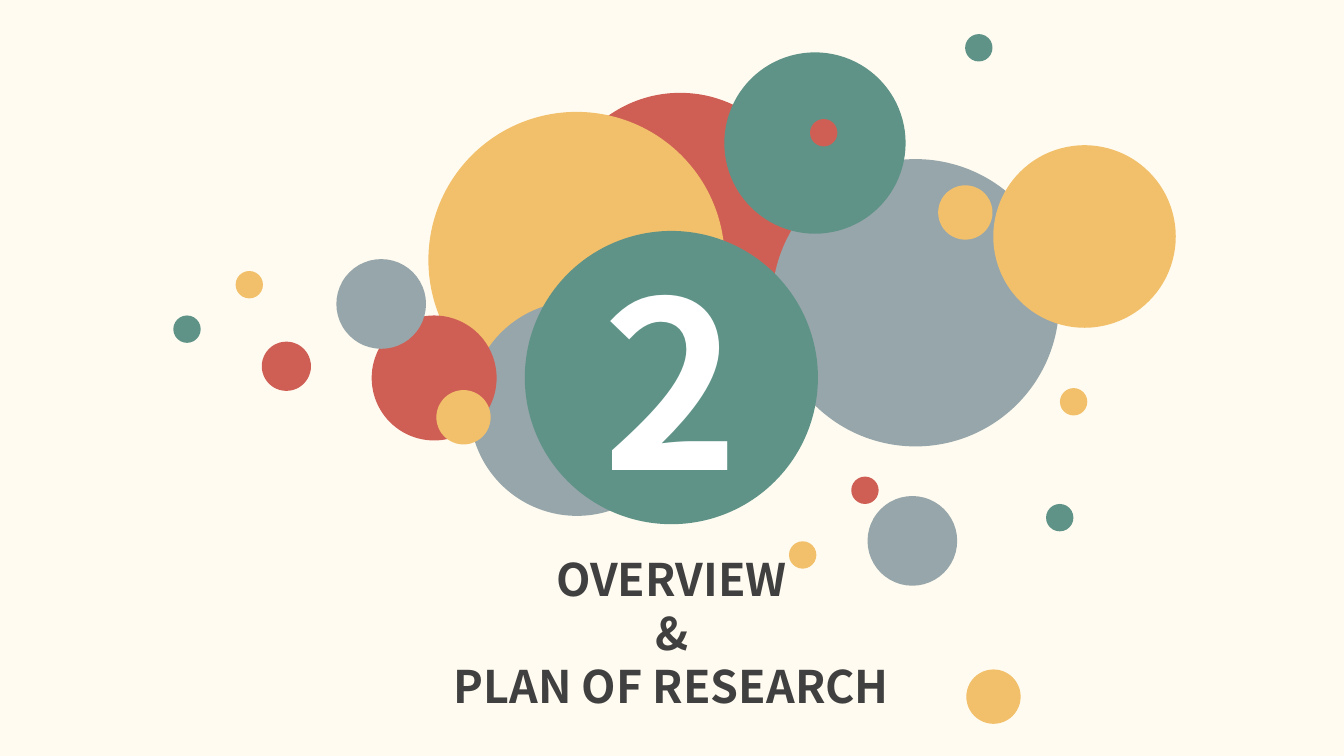
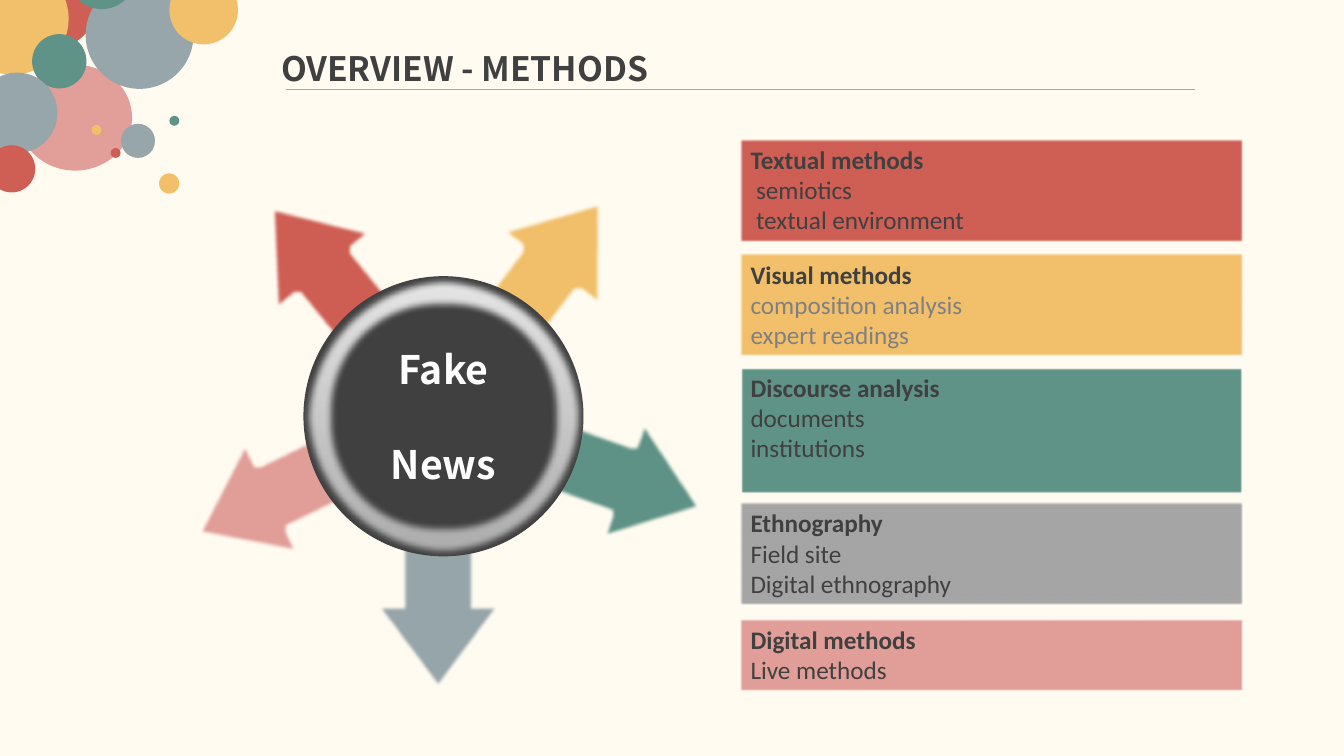
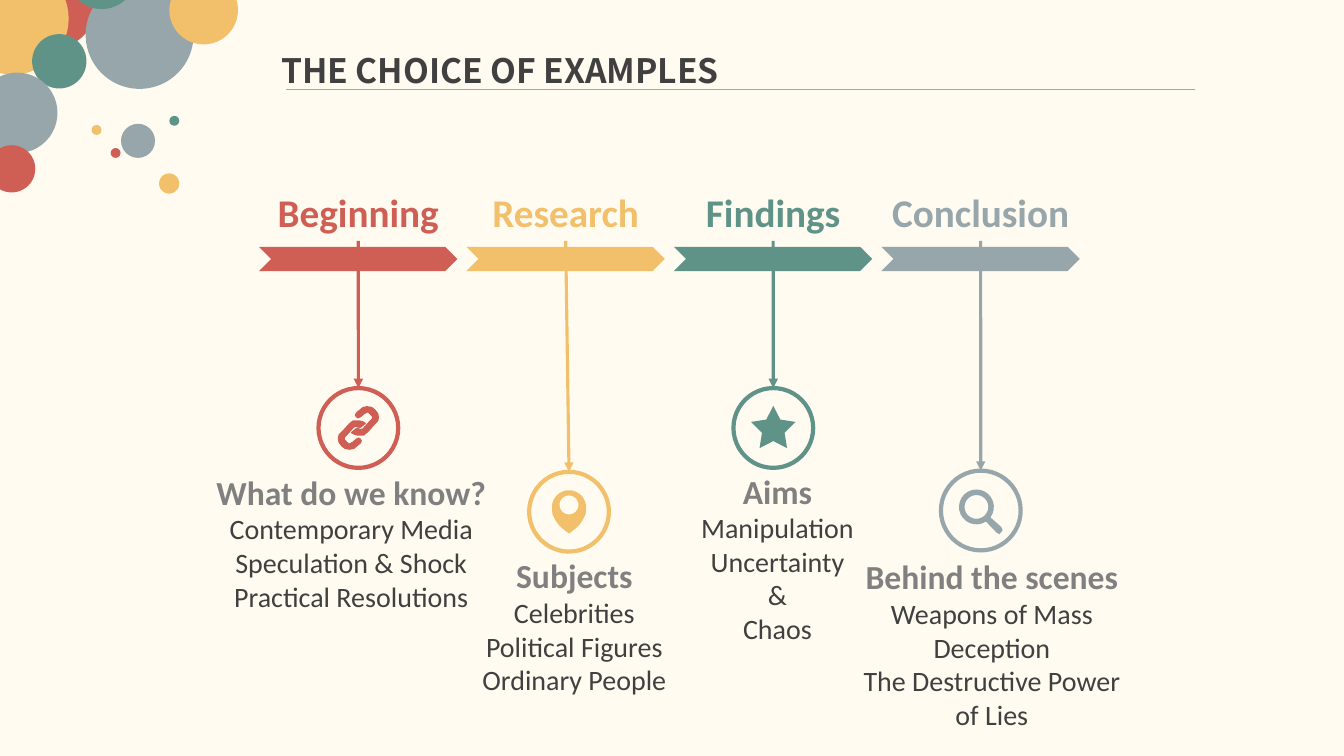
import math

import pptx
import pptx.dml.color
import pptx.enum.shapes
import pptx.enum.text
import pptx.oxml
import pptx.oxml.ns
import pptx.util

Cm, Pt = pptx.util.Cm, pptx.util.Pt
RGB = pptx.dml.color.RGBColor
SHAPE = pptx.enum.shapes.MSO_SHAPE
ALIGN = pptx.enum.text.PP_ALIGN
ANCHOR = pptx.enum.text.MSO_ANCHOR

# Shared look
CREAM = RGB(0xFF, 0xFB, 0xF0)
RED = RGB(0xCF, 0x5F, 0x55)
YELLOW = RGB(0xF2, 0xC0, 0x6B)
GREEN = RGB(0x5F, 0x93, 0x87)
SLATE = RGB(0x97, 0xA6, 0xAB)
PINK = RGB(0xE2, 0x9F, 0x99)
GREY = RGB(0xA5, 0xA5, 0xA5)
RULE_GREY = RGB(0xA6, 0xA6, 0xA6)
MID_GREY = RGB(0x80, 0x80, 0x80)
DARK = RGB(0x40, 0x40, 0x40)
WHITE = RGB(0xFF, 0xFF, 0xFF)
RING_DARK = RGB(0xAB, 0xAB, 0xAB)
RING_LIGHT = RGB(0xE6, 0xE6, 0xE6)
HEAD_FONT = "Noto Sans CJK SC"
BODY_FONT = "Calibri"

# Bubbles: left, top, diameter in cm, colour
CORNER_BUBBLES = [
    (0.1, -1.12, 2.36, RED), (-1.09, -0.94, 2.82, YELLOW),
    (0.81, 0.86, 1.37, GREEN), (-0.58, 1.83, 2.03, SLATE),
    (2.16, -0.48, 2.72, SLATE), (1.7, -1.5, 1.73, GREEN),
    (-0.3, 3.66, 1.19, RED), (3.05, 3.12, 0.86, SLATE),
    (2.79, 3.73, 0.25, RED), (2.31, 3.15, 0.25, YELLOW),
    (4.27, 2.92, 0.25, GREEN), (4.01, 4.37, 0.51, YELLOW),
    (4.27, -0.61, 1.73, YELLOW),
]
COVER_BUBBLES = [
    (14.02, 2.34, 6.25, RED), (10.8, 2.82, 7.47, YELLOW),
    (11.84, 7.59, 5.41, SLATE), (19.46, 4.01, 7.24, SLATE),
    (18.26, 1.32, 4.57, GREEN), (9.37, 7.95, 3.15, RED),
    (21.87, 12.5, 2.26, SLATE), (21.46, 12.01, 0.69, RED),
    (19.89, 13.64, 0.69, YELLOW), (26.37, 12.7, 0.69, GREEN),
    (24.36, 16.87, 1.37, YELLOW), (25.04, 3.66, 4.6, YELLOW),
    (8.48, 6.53, 2.26, SLATE), (6.6, 8.61, 1.24, RED),
    (5.94, 6.83, 0.69, YELLOW), (4.37, 7.95, 0.69, GREEN),
    (11, 9.83, 1.37, YELLOW), (20.42, 3, 0.69, RED),
    (26.72, 9.78, 0.69, YELLOW), (24.33, 0.86, 0.69, GREEN),
    (23.65, 4.67, 1.37, YELLOW),
]

# Section cover
SECTION_NUMBER = "2"
SECTION_TITLE = ["OVERVIEW", "&", "PLAN OF RESEARCH"]

# Methods: cards (top, height, fill, list colour, list indent, lines)
METHODS_TITLE = "OVERVIEW - METHODS"
HUB_LINES = ["Fake", "News"]
METHOD_CARDS = [
    (3.51, 2.57, RED, DARK, 0.14,
     ["Textual methods", "semiotics", "textual environment"]),
    (6.4, 2.57, YELLOW, MID_GREY, 0,
     ["Visual methods", "composition analysis", "expert readings"]),
    (9.25, 3.18, GREEN, DARK, 0,
     ["Discourse analysis", "documents", "institutions"]),
    (12.67, 2.57, GREY, DARK, 0,
     ["Ethnography", "Field site", "Digital ethnography"]),
    (15.6, 1.8, PINK, DARK, 0, ["Digital methods", "Live methods"]),
]
# Arrows: left, top, rotation, colour
METHOD_ARROWS = [
    (9.45, 12.12, 180, SLATE), (13.61, 9.27, 109.6, GREEN),
    (5.74, 9.65, 244.1, PINK), (6.91, 4.62, 320.7, RED),
    (11.94, 4.55, 37.1, YELLOW),
]

# Examples: stage, colour, circle (left, top), text (left, top, width), lines
EXAMPLES_TITLE = "THE CHOICE OF EXAMPLES"
STAGES = [
    ("Beginning", RED, (8.03, 9.78), (5.03, 11.76, 7.65),
     ["What do we know?",
      "Contemporary Media Speculation & Shock Practical Resolutions"]),
    ("Research", YELLOW, (13.34, 11.89), (11.76, 13.87, 5.44),
     ["Subjects", "Celebrities Political Figures", "Ordinary People"]),
    ("Findings", GREEN, (18.49, 9.78), (17.2, 11.73, 4.8),
     ["Aims", "Manipulation", "Uncertainty", "&", "Chaos"]),
    ("Conclusion", SLATE, (23.72, 11.86), (21.46, 13.89, 7.09),
     ["Behind the scenes", "Weapons of Mass Deception",
      "The Destructive Power of Lies"]),
]


# Icon outlines, in cm from the centre of their circle
def arc(x, y, radius, start=0, end=360, steps=24):
    angles = [math.radians(start + (end - start) * i / steps)
              for i in range(steps + 1)]
    return [(x + radius * math.cos(a), y + radius * math.sin(a))
            for a in angles]


LINK = [
    (-0.04, -0.19), (0.04, -0.19), (0.11, -0.17), (0.17, -0.14),
    (0.19, -0.11), (0.04, 0.01), (-0.01, -0.01), (-0.04, -0.03),
    (-0.11, -0.01), (-0.29, 0.19), (-0.34, 0.24), (-0.34, 0.29),
    (-0.29, 0.34), (-0.24, 0.39), (-0.19, 0.37), (-0.14, 0.34),
    (-0.06, 0.27), (0.01, 0.24), (0.06, 0.27), (0.09, 0.32),
    (0.06, 0.39), (-0.04, 0.47), (-0.11, 0.53), (-0.22, 0.55),
    (-0.34, 0.53), (-0.42, 0.47), (-0.5, 0.37), (-0.52, 0.27),
    (-0.5, 0.17), (-0.42, 0.09), (-0.24, -0.11), (-0.14, -0.19),
]
PIN_SIDE = [(0.42, 0.06), (0.34, 0.22), (0.27, 0.32), (0.17, 0.42)]
HANDLE = [(0.24, 0.17), (0.52, 0.42), (0.55, 0.5), (0.47, 0.6),
          (0.39, 0.55), (0.14, 0.29)]
STAR = [arc(0, 0.03, 0.3 if i % 2 else 0.59, 36 * i - 90, 360, 1)[0]
        for i in range(10)]
ICONS = [
    [LINK, [(-x, -y) for x, y in LINK]],
    [arc(0, -0.11, 0.43, 180, 360) + PIN_SIDE + [(0, 0.55)]
     + [(-x, y) for x, y in reversed(PIN_SIDE)], arc(0, -0.17, 0.24)],
    [STAR],
    [arc(-0.11, -0.09, 0.44, 57, 397) + HANDLE, arc(-0.11, -0.09, 0.3)],
]


# Drawing helpers
def paint(shape, fill, soft=0):
    """Flat fill, no line, no shadow; soft is the soft edge in points."""
    shape.shadow.inherit = False
    shape.line.fill.background()
    if fill is None:
        shape.fill.background()
    else:
        shape.fill.solid()
        shape.fill.fore_color.rgb = fill
    if soft:
        effects = shape._element.spPr.find(pptx.oxml.ns.qn("a:effectLst"))
        effects.append(pptx.oxml.parse_xml(
            f'<a:softEdge {pptx.oxml.ns.nsdecls("a")} rad="{Pt(soft)}"/>'))
    return shape


def add_shape(shapes, kind, left, top, width, height, fill, soft=0):
    return paint(shapes.add_shape(kind, Cm(left), Cm(top), Cm(width),
                                  Cm(height)), fill, soft)


def add_bubbles(shapes, bubbles):
    for left, top, size, colour in bubbles:
        add_shape(shapes, SHAPE.OVAL, left, top, size, size, colour)


def style(paragraph, size, colour, bold=True, font=BODY_FONT,
          align=ALIGN.CENTER, pitch=None):
    paragraph.alignment = align
    if pitch:
        paragraph.line_spacing = Pt(pitch)
    for run in paragraph.runs:
        run.font.size, run.font.bold, run.font.name = Pt(size), bold, font
        run.font.color.rgb = colour


def write(frame, lines, anchor=ANCHOR.TOP):
    frame.word_wrap = True
    frame.auto_size = pptx.enum.text.MSO_AUTO_SIZE.NONE
    frame.vertical_anchor = anchor
    frame.text = "\n".join(lines)
    return frame.paragraphs


def add_text(slide, left, top, width, height, lines):
    box = slide.shapes.add_textbox(Cm(left), Cm(top), Cm(width), Cm(height))
    return box, write(box.text_frame, lines)


def set_title(slide, left, top, width, height, lines, size, align):
    title = slide.shapes.title
    title.left, title.top = Cm(left), Cm(top)
    title.width, title.height = Cm(width), Cm(height)
    for paragraph in write(title.text_frame, lines):
        style(paragraph, size, DARK, font=HEAD_FONT, align=align,
              pitch=1.2 * size)


def add_line(slide, start, end, colour, width):
    line = slide.shapes.add_connector(
        pptx.enum.shapes.MSO_CONNECTOR.STRAIGHT,
        Cm(start[0]), Cm(start[1]), Cm(end[0]), Cm(end[1]))
    line.line.color.rgb = colour
    line.line.width = Pt(width)
    line._element.spPr.append(pptx.oxml.parse_xml(
        f'<a:effectLst {pptx.oxml.ns.nsdecls("a")}/>'))
    return line


def add_icon(slide, contours, x, y, colour):
    outline = None
    for contour in contours:
        points = [(Cm(px), Cm(py)) for px, py in contour]
        if outline is None:
            outline = slide.shapes.build_freeform(*points[0], scale=1.0)
        else:
            outline.move_to(*points[0])
        outline.add_line_segments(points[1:], close=True)
    paint(outline.convert_to_shape(Cm(x), Cm(y)), colour)


def new_slide(prs):
    return prs.slides.add_slide(prs.slide_layouts[5])


def content_slide(prs, title, top):
    slide = new_slide(prs)
    set_title(slide, 6.83, top, 13.03, 1.27, [title], 24, ALIGN.LEFT)
    add_line(slide, (7.21, 2.24), (30.12, 2.24), RULE_GREY, 0.5)
    return slide


def add_corner(slide):
    add_bubbles(slide.shapes.add_group_shape().shapes, CORNER_BUBBLES)


# Slides
def build_cover(prs):
    slide = new_slide(prs)
    set_title(slide, 9.27, 13.77, 15.32, 4.37, SECTION_TITLE, 32,
              ALIGN.CENTER)
    add_bubbles(slide.shapes, COVER_BUBBLES)
    badge = add_shape(slide.shapes, SHAPE.OVAL, 13.23, 5.82, 7.39, 7.39,
                      GREEN)
    number = write(badge.text_frame, [SECTION_NUMBER], ANCHOR.MIDDLE)[0]
    style(number, 166, WHITE, font=HEAD_FONT)


def build_methods(prs):
    slide = content_slide(prs, METHODS_TITLE, 1.09)
    shapes = slide.shapes
    add_shape(shapes, SHAPE.OVAL, 0.46, 1.63, 2.87, 2.67, PINK)
    add_corner(slide)

    # Arrows around the hub
    for left, top, rotation, colour in METHOD_ARROWS:
        arrow = add_shape(shapes, SHAPE.UP_ARROW, left, top, 3.2, 5.28,
                          colour, 2.5)
        arrow.adjustments[0], arrow.adjustments[1] = 0.56, 0.67
        arrow.rotation = rotation

    # Hub with its shaded ring
    hub = (7.65, 6.96, 7.06, 7.06)
    add_shape(shapes, SHAPE.OVAL, *hub, DARK)
    ring = add_shape(shapes, SHAPE.DONUT, *hub, RING_LIGHT, 5)
    ring.adjustments[0] = 0.12
    ring.fill.gradient()
    ring.fill.gradient_angle = 90
    for stop, colour in zip(ring.fill.gradient_stops,
                            (RING_DARK, RING_LIGHT)):
        stop.color.rgb = colour
    ring.line.color.rgb = WHITE
    ring.line.width = Pt(1)
    hub_text = add_text(slide, 9.05, 8.59, 4.26, 3.84, HUB_LINES)[1]
    for paragraph in hub_text:
        style(paragraph, 28, WHITE, font=HEAD_FONT, pitch=33.6)
    hub_text[1].space_before = Pt(33.6)

    # Method cards
    for top, height, fill, list_colour, indent, lines in METHOD_CARDS:
        card = add_shape(shapes, SHAPE.RECTANGLE, 18.67, top, 12.65, height,
                         fill, 1)
        heading, *items = write(card.text_frame, lines)
        style(heading, 18, DARK, align=ALIGN.LEFT)
        for item in items:
            style(item, 18, list_colour, False, align=ALIGN.LEFT)
            if indent:
                item._p.get_or_add_pPr().set("marL", str(Cm(indent)))


def build_examples(prs):
    slide = content_slide(prs, EXAMPLES_TITLE, 1.12)
    add_corner(slide)
    first, pitch, width, label_width, circle_size = 6.53, 5.23, 5, 5.4, 2.01

    for i, (stage, colour, circle_at, text_at, lines) in enumerate(STAGES):
        # Stage label over its chevron
        left = first + i * pitch
        add_shape(slide.shapes, SHAPE.CHEVRON, left, 6.22, width, 0.61,
                  colour)
        label, label_text = add_text(
            slide, left + (width - label_width) / 2, 4.62, label_width, 1.45,
            [stage])
        style(label_text[0], 28, colour)

        # Circle with icon, joined to the label
        x, y = circle_at
        circle = add_shape(slide.shapes, SHAPE.OVAL, x, y, circle_size,
                           circle_size, None)
        circle.line.color.rgb = colour
        circle.line.width = Pt(3)
        middle = x + circle_size / 2
        arrow = add_line(slide, (left + width / 2, 6.07), (middle, y),
                         colour, 2.25)
        arrow.begin_connect(label, 2)
        arrow.end_connect(circle, 0)
        arrow.line._get_or_add_ln().append(pptx.oxml.parse_xml(
            f'<a:tailEnd {pptx.oxml.ns.nsdecls("a")} type="triangle"/>'))
        add_icon(slide, ICONS[i], middle, y + circle_size / 2, colour)

        # Examples below the circle
        heading, *items = add_text(slide, *text_at, 4.2, lines)[1]
        style(heading, 24, MID_GREY)
        for item in items:
            style(item, 20, DARK, False)


def main():
    prs = pptx.Presentation()
    prs.slide_width, prs.slide_height = Cm(33.88), Cm(19.05)
    background = prs.slide_master.background.fill
    background.solid()
    background.fore_color.rgb = CREAM
    build_cover(prs)
    build_methods(prs)
    build_examples(prs)
    prs.save("out.pptx")


if __name__ == "__main__":
    main()
